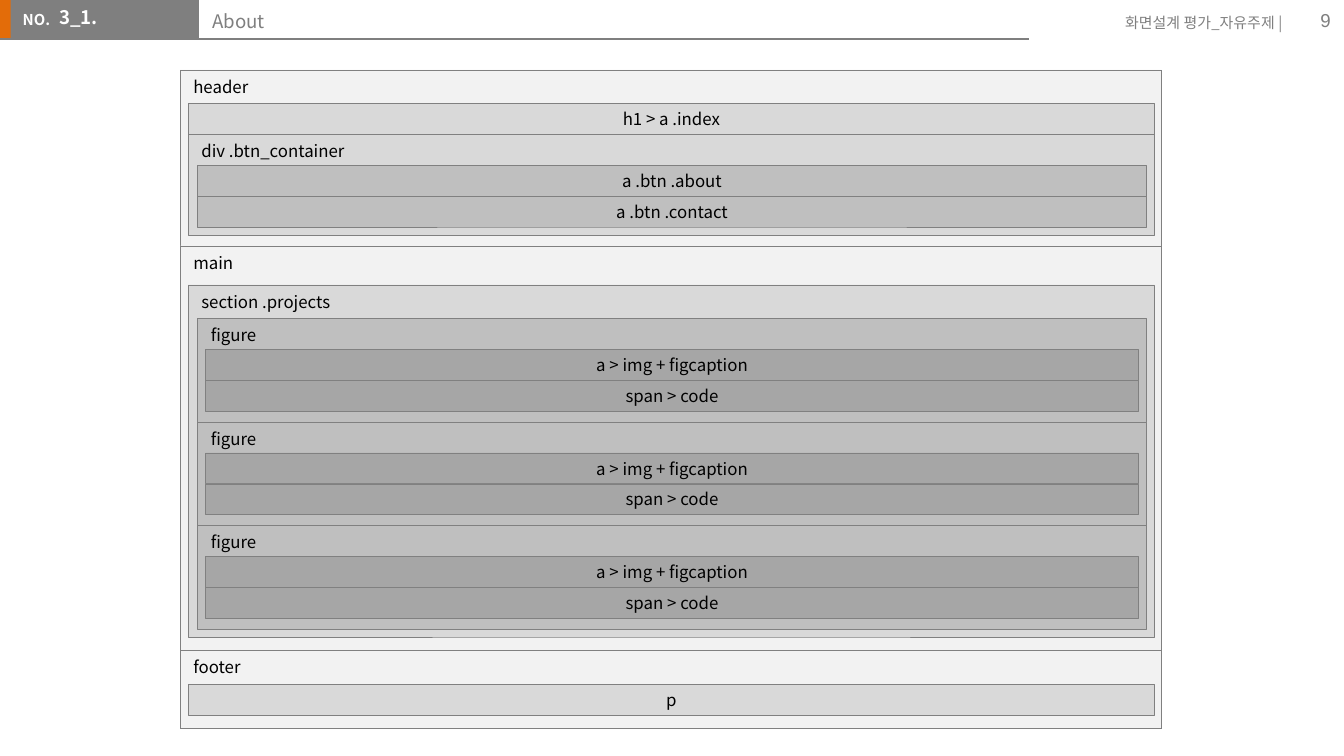
from lxml import etree
from pptx import Presentation
from pptx.dml.color import RGBColor
from pptx.enum.shapes import MSO_CONNECTOR, MSO_SHAPE
from pptx.enum.text import MSO_ANCHOR, MSO_AUTO_SIZE, PP_ALIGN
from pptx.oxml.ns import qn
from pptx.util import Inches, Pt

RECTANGLE, STRAIGHT = MSO_SHAPE.RECTANGLE, MSO_CONNECTOR.STRAIGHT
TOP, MIDDLE = MSO_ANCHOR.TOP, MSO_ANCHOR.MIDDLE
LEFT, CENTER, RIGHT = PP_ALIGN.LEFT, PP_ALIGN.CENTER, PP_ALIGN.RIGHT

TITLE = "About"
NUMBER_LABEL = "NO."
SECTION_NUMBER = "3_1."
DOCUMENT_NAME = "화면설계 평가_자유주제 |"
PAGE_NUMBER = "9"

ROW = 0.23


def leaf(label):
    return {"label": label, "height": ROW, "children": []}


def group(label, height, heading, children):
    return {"label": label, "height": height, "heading": heading, "children": children}


FIGURE = group("figure", 0.77, 0.23, [leaf("a > img + figcaption"), leaf("span > code")])
SECTIONS = [
    group("header", 1.31, 0.25, [
        leaf("h1 > a .index"),
        group("div .btn_container", 0.75, 0.23, [
            leaf("a .btn .about"),
            leaf("a .btn .contact"),
        ]),
    ]),
    group("main", 3.01, 0.29, [
        group("section .projects", 2.62, 0.25, [FIGURE] * 3),
    ]),
    group("footer", 0.58, 0.25, [leaf("p")]),
]

PANEL = (1.34, 0.52, 7.3, 4.9)
LEVEL_SPANS = [(1.34, 7.3), (1.4, 7.19), (1.47, 7.06), (1.53, 6.94)]

THEME = {
    "font": "Noto Sans CJK KR",
    "number_font": "Arial",
    "small": 8,
    "label": 9,
    "heading": 10,
    "hairline": 0.25,
    "rule": 0.75,
    "white": "FFFFFF",
    "black": "000000",
    "accent": "E36C09",
    "gray": "7F7F7F",
    "border": "808080",
    "panel_border": "3A5F8C",
    "levels": ["F2F2F2", "D9D9D9", "BFBFBF", "A6A6A6"],
}


def rgb(name):
    return RGBColor.from_string(THEME.get(name, name))


def place(box, area):
    box.left, box.top, box.width, box.height = map(Inches, area)


def write(box, text, size, color, align=LEFT, anchor=TOP, bold=False, font="font", inset=0.05):
    frame = box.text_frame
    frame.word_wrap = True
    frame.auto_size = MSO_AUTO_SIZE.NONE
    frame.vertical_anchor = anchor
    frame.margin_left = frame.margin_right = Inches(0.1)
    frame.margin_top = frame.margin_bottom = Inches(inset)
    para = frame.paragraphs[0]
    para.alignment = align
    span = para.add_run()
    span.text = text
    span.font.name = THEME[font]
    span.font.size = Pt(THEME[size])
    span.font.bold = bold
    span.font.color.rgb = rgb(color)
    latin = span._r.get_or_add_rPr().find(qn("a:latin"))
    latin.addnext(etree.Element(qn("a:ea"), typeface=THEME[font]))
    return para


def add_rectangle(page, area, fill, border=None):
    box = page.shapes.add_shape(RECTANGLE, *map(Inches, area))
    box.shadow.inherit = False
    box.fill.solid()
    box.fill.fore_color.rgb = rgb(fill)
    if border:
        box.line.color.rgb = rgb(border)
        box.line.width = Pt(THEME["hairline"])
    else:
        box.line.fill.background()
    return box


def add_text(page, area, *content, **style):
    box = page.shapes.add_textbox(*map(Inches, area))
    write(box, *content, **style)


def add_placeholder_text(page, box, area, *content, **style):
    place(box, area)
    page.shapes.element.append(box.element)
    return write(box, *content, inset=0.1, **style)


def add_stack(page, nodes, top, level=0):
    left, width = LEVEL_SPANS[level]
    for node in nodes:
        children = node["children"]
        area = (left, top, width, node["height"])
        box = add_rectangle(page, area, THEME["levels"][level], "border")
        align, anchor = (LEFT, TOP) if children else (CENTER, MIDDLE)
        write(box, node["label"], "label", "black", align=align, anchor=anchor)
        if children:
            add_stack(page, children, top + node["heading"], level + 1)
        top += node["height"]


def add_banner(page):
    add_rectangle(page, (-0.01, 0, 0.12, 0.29), "accent")
    add_rectangle(page, (0.08, 0, 1.4, 0.29), "gray")
    add_text(page, (0.07, 0.03, 0.41, 0.24), NUMBER_LABEL, "small", "white", bold=True)
    rule = page.shapes.add_connector(STRAIGHT, *map(Inches, (0, 0.29, 7.66, 0.29)))
    rule.line.color.rgb = rgb("gray")
    rule.line.width = Pt(THEME["rule"])
    etree.SubElement(rule.element.spPr, qn("a:effectLst"))
    add_text(page, (8, 0.05, 1.64, 0.24), DOCUMENT_NAME, "small", "gray", align=RIGHT)
    add_text(page, (9.4, 0, 0.6, 0.3), PAGE_NUMBER, "heading", "gray",
             align=RIGHT, anchor=MIDDLE, font="number_font")
    add_placeholder_text(page, page.shapes.title, (1.48, -0.03, 6.14, 0.32),
                         TITLE, "heading", "gray")
    para = add_placeholder_text(page, page.placeholders[1], (0.09, -0.06, 1.1, 0.31),
                                SECTION_NUMBER, "heading", "white", bold=True)
    para.space_before = Pt(2)
    properties = para._p.get_or_add_pPr()
    properties.set("marL", str(Inches(0.5)))
    properties.set("indent", str(Inches(-0.25)))
    etree.SubElement(properties, qn("a:buNone"))


def main():
    deck = Presentation()
    deck.slide_width = Inches(10)
    deck.slide_height = deck.slide_width * 9 // 16
    page = deck.slides.add_slide(deck.slide_layouts[1])
    add_banner(page)
    add_rectangle(page, PANEL, "white", "panel_border")
    add_stack(page, SECTIONS, PANEL[1])
    deck.save("out.pptx")


if __name__ == "__main__":
    main()
